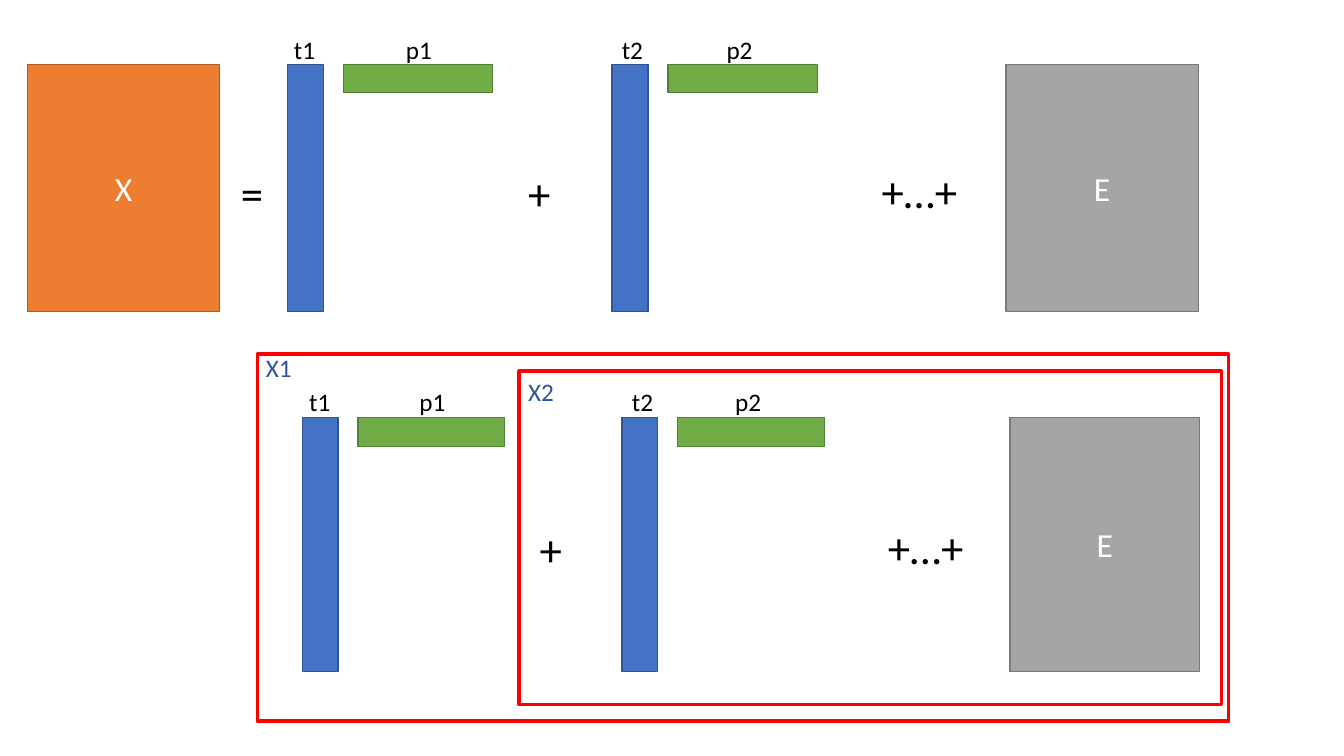
"""Draw a matrix decomposed into score and loading terms, with its nested deflated matrices."""
from dataclasses import dataclass

import pptx
import pptx.dml.color
import pptx.enum.shapes
import pptx.enum.text
import pptx.shapes.shapetree
import pptx.util

FONT = "Calibri"
BASE_WIDTH, BASE_HEIGHT = 22.96, 6.22


@dataclass
class Block:
    x: float
    y: float
    w: float
    h: float
    fill: str | None
    line: str
    text: str = ""
    weight: float = 1


@dataclass
class Label:
    text: str
    x: float
    y: float
    w: float
    h: float
    size: int = 18
    color: str = "000000"


@dataclass
class Row:
    left: float
    top: float
    width: float
    height: float
    items: list[Block | Label]


def score(x: float) -> Block:
    return Block(x, 0, 0.91, BASE_HEIGHT, "4472C4", "325491")


def loading(x: float) -> Block:
    return Block(x, 0, 3.76, 0.71, "70AD47", "538035")


def name(text: str, x: float) -> Label:
    return Label(text, x, -0.89, 1.24, 0.89)


def operator(text: str, x: float, y: float = 2.43, w: float = 0.99) -> Label:
    return Label(text, x, y, w, 1.4, 32)


DATA = [
    Block(-6.55, 0, 4.85, BASE_HEIGHT, "ED7D31", "AF5C24", "X"),
    operator("=", -1.42),
]
TERMS = [
    score(0), loading(1.42), score(8.18), loading(9.6),
    Block(18.11, 0, 4.85, BASE_HEIGHT, "A5A5A5", "7A7A7A", "E"),
    operator("+", 5.82), operator("+…+", 14.73, 2.38, 3.18),
    name("t1", -0.08), name("p1", 2.74), name("t2", 8.18), name("p2", 10.82),
]
ROWS = [
    Row(7.24, 1.63, BASE_WIDTH, BASE_HEIGHT, DATA + TERMS),
    Row(7.62, 10.52, 22.61, 6.4, TERMS),
]
FRAMES = [
    Block(6.48, 8.92, 24.49, 9.25, None, "FF0000", weight=2.25),
    Block(13.08, 9.35, 17.7, 8.41, None, "FF0000", weight=2.25),
    Label("X1", 6.45, 8.76, 2.44, 1.02, color="2F5597"),
    Label("X2", 13.06, 9.37, 2.44, 1.02, color="2F5597"),
]


def rgb(color: str) -> pptx.dml.color.RGBColor:
    return pptx.dml.color.RGBColor.from_string(color)


def write(tf: pptx.text.text.TextFrame, text: str, size: int, color: str) -> None:
    p = tf.paragraphs[0]
    p.text = text
    p.font.name = FONT
    p.font.size = pptx.util.Pt(size)
    p.font.color.rgb = rgb(color)


def draw(shapes: pptx.shapes.shapetree.GroupShapes | pptx.shapes.shapetree.SlideShapes,
         item: Block | Label, left: float = 0, top: float = 0,
         kx: float = 1, ky: float = 1) -> None:
    box = [pptx.util.Cm(v) for v in (left + item.x * kx, top + item.y * ky,
                                     item.w * kx, item.h * ky)]
    if isinstance(item, Label):
        tf = shapes.add_textbox(*box).text_frame
        tf.word_wrap = True
        tf.auto_size = pptx.enum.text.MSO_AUTO_SIZE.SHAPE_TO_FIT_TEXT
        write(tf, item.text, item.size, item.color)
        return
    sp = shapes.add_shape(pptx.enum.shapes.MSO_SHAPE.RECTANGLE, *box)
    sp.shadow.inherit = False
    if item.fill:
        sp.fill.solid()
        sp.fill.fore_color.rgb = rgb(item.fill)
    else:
        sp.fill.background()
    sp.line.color.rgb = rgb(item.line)
    sp.line.width = pptx.util.Pt(item.weight)
    if item.text:
        tf = sp.text_frame
        tf.vertical_anchor = pptx.enum.text.MSO_ANCHOR.MIDDLE
        write(tf, item.text, 24, "FFFFFF")
        tf.paragraphs[0].alignment = pptx.enum.text.PP_ALIGN.CENTER


def main() -> None:
    prs = pptx.Presentation()
    prs.slide_width = pptx.util.Cm(33.87)
    prs.slide_height = pptx.util.Cm(19.05)
    slide = prs.slides.add_slide(prs.slide_layouts[6])
    for row in ROWS:
        group = slide.shapes.add_group_shape()
        for item in row.items:
            draw(group.shapes, item, row.left, row.top,
                 row.width / BASE_WIDTH, row.height / BASE_HEIGHT)
    for item in FRAMES:
        draw(slide.shapes, item)
    prs.save("out.pptx")


if __name__ == "__main__":
    main()
